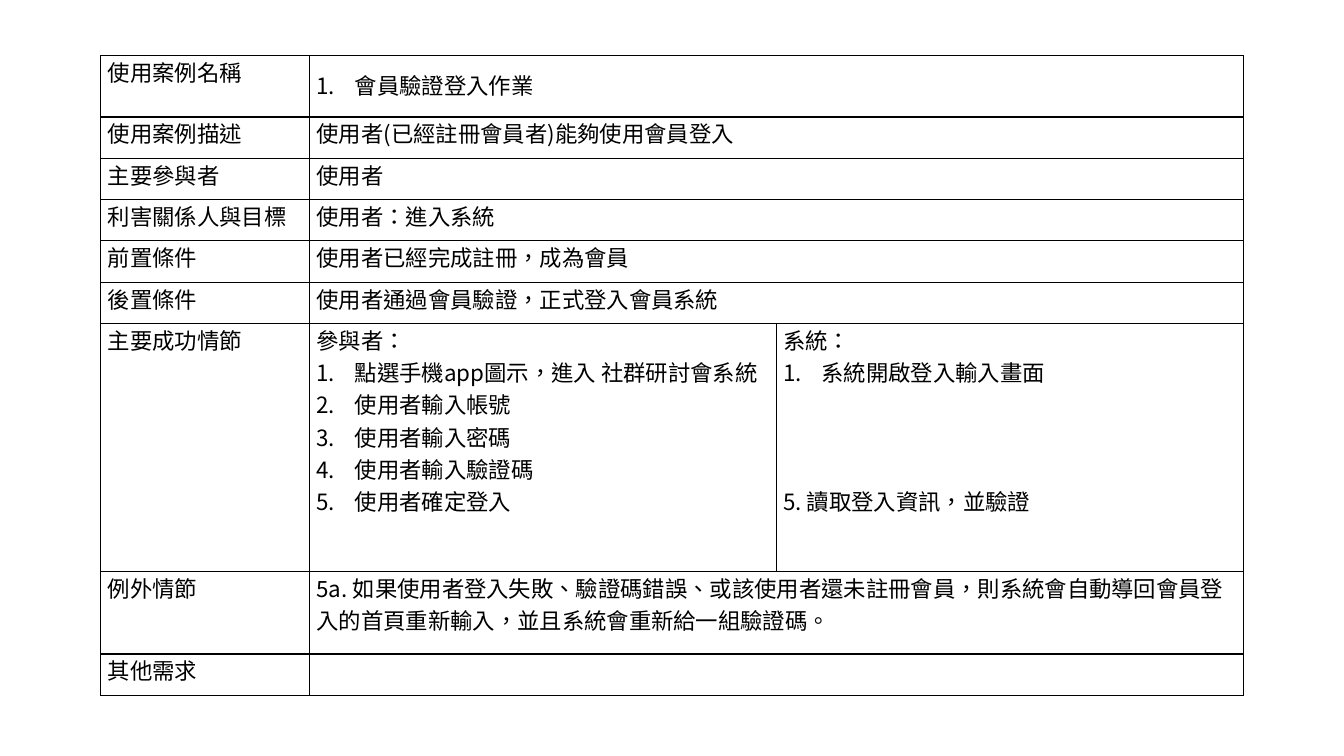
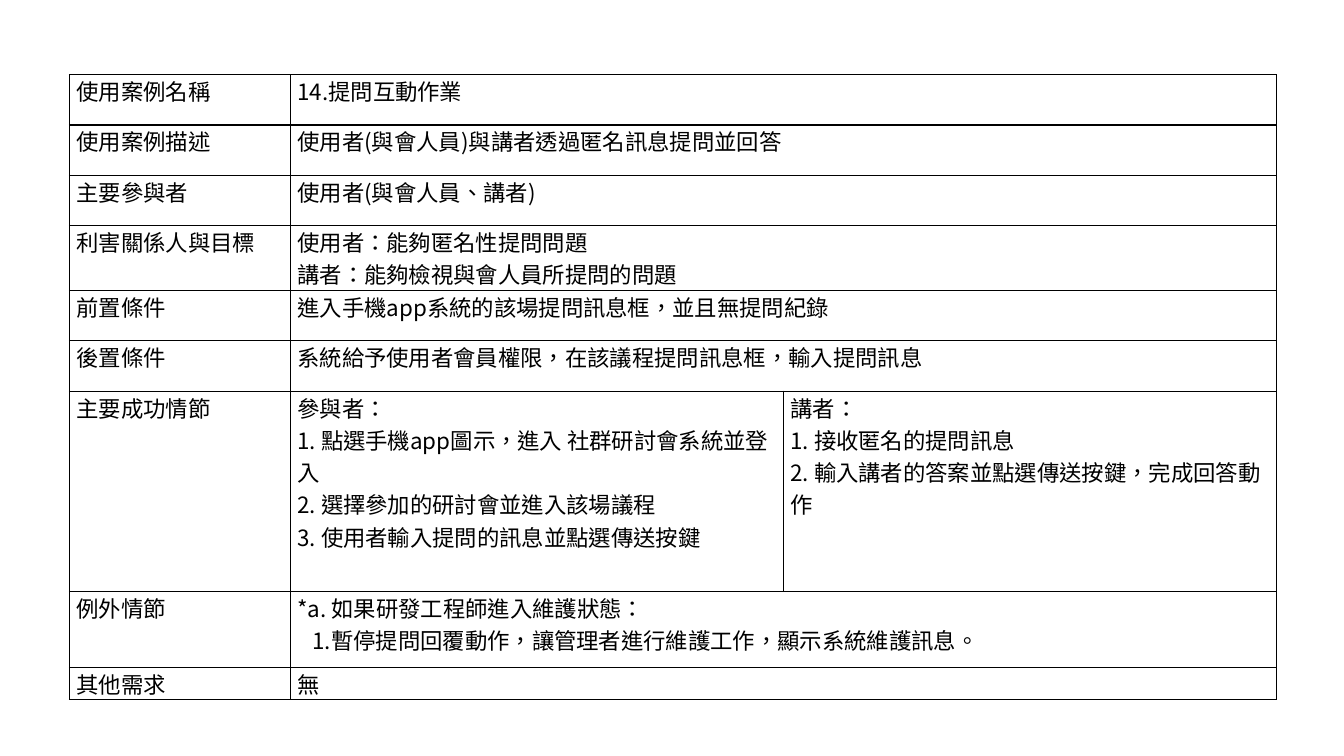
"""Build two use-case description slides, each holding one bordered table."""
from lxml import etree
from pptx import Presentation
from pptx.dml.color import RGBColor
from pptx.enum.lang import MSO_LANGUAGE_ID
from pptx.oxml.ns import qn
from pptx.util import Inches, Pt

CHINESE = MSO_LANGUAGE_ID.TRADITIONAL_CHINESE
FONT = "Noto Sans CJK SC"
INK = "000000"
BLANK_LAYOUT = 6
NUMBER_INDENT = Inches(0.38)
LABELS = ["使用案例名稱", "使用案例描述", "主要參與者", "利害關係人與目標", "前置條件",
          "後置條件", "主要成功情節", "例外情節", "其他需求"]

NUMBERED = {"numbered": True}

USE_CASES = [
    {
        "left": 1, "top": 0.55,
        "columns": [2.07, 4.63, 4.63],
        "rows": [0.61] + [0.41] * 5 + [2.46, 0.82, 0.41],
        "name_margin": 0.13,
        "answers": [
            [[("會員驗證登入作業", NUMBERED)]],
            [[("使用者(已經註冊會員者)能夠使用會員登入", {})]],
            [[("使用者", {})]],
            [[("使用者：進入系統", {})]],
            [[("使用者已經完成註冊，成為會員", {})]],
            [[("使用者通過會員驗證，正式登入會員系統", {})]],
            [[("參與者：", {}),
              ("點選手機app圖示，進入 社群研討會系統", NUMBERED),
              ("使用者輸入帳號", NUMBERED),
              ("使用者輸入密碼", NUMBERED),
              ("使用者輸入驗證碼", NUMBERED),
              ("使用者確定登入", NUMBERED)],
             [("系統：", {}),
              ("系統開啟登入輸入畫面", NUMBERED),
              ("5. 讀取登入資訊，並驗證", {"before": 0.96})]],
            [[("5a. 如果使用者登入失敗、驗證碼錯誤、或該使用者還未註冊會員，則系統會自動導回"
               "會員登入的首頁重新輸入，並且系統會重新給一組驗證碼。", {})]],
            [[]],
        ],
    },
    {
        "left": 0.69, "top": 0.74,
        "columns": [2.19, 4.89, 4.89],
        "rows": [0.5] * 3 + [0.64] + [0.5] * 2 + [1.99, 0.75, 0.32],
        "name_margin": 0,
        "answers": [
            [[("14.提問互動作業", {})]],
            [[("使用者(與會人員)與講者透過匿名訊息提問並回答", {})]],
            [[("使用者(與會人員、講者)", {})]],
            [[("使用者：能夠匿名性提問問題", {}),
              ("講者：能夠檢視與會人員所提問的問題", {})]],
            [[("進入手機app系統的該場提問訊息框，並且無提問紀錄", {})]],
            [[("系統給予使用者會員權限，在該議程提問訊息框，輸入提問訊息", {})]],
            [[("參與者：", {}),
              ("1. 點選手機app圖示，進入 社群研討會系統並登入", {}),
              ("2. 選擇參加的研討會並進入該場議程", {}),
              ("3. 使用者輸入提問的訊息並點選傳送按鍵", {})],
             [("講者：", {}),
              ("1. 接收匿名的提問訊息", {}),
              ("2. 輸入講者的答案並點選傳送按鍵，完成回答動作", {})]],
            [[("*a. 如果研發工程師進入維護狀態：", {}),
              ("1.暫停提問回覆動作，讓管理者進行維護工作，顯示系統維護訊息。", {"indent": 0.15})]],
            [[("無", {})]],
        ],
    },
]


def format_cell(cell):
    """Give a cell its margins, thin border and empty fill."""
    cell.margin_left = cell.margin_right = Inches(0.07)
    cell.margin_top = cell.margin_bottom = 0
    properties = cell._tc.get_or_add_tcPr()
    for side in ("a:lnL", "a:lnR", "a:lnT", "a:lnB"):
        border = etree.SubElement(properties, qn(side), w=str(Pt(1)))
        fill = etree.SubElement(border, qn("a:solidFill"))
        etree.SubElement(fill, qn("a:srgbClr"), val=INK)
    cell.fill.background()


def write_cell(cell, paragraphs):
    """Write the paragraphs of a cell with their numbering and spacing."""
    frame = cell.text_frame
    for index, (text, layout) in enumerate(paragraphs):
        para = frame.paragraphs[0] if index == 0 else frame.add_paragraph()
        para.text = text
        properties = para._p.get_or_add_pPr()
        if "before" in layout:
            para.space_before = Inches(layout["before"])
        if "indent" in layout:
            properties.set("marL", str(Inches(layout["indent"])))
        if "numbered" in layout:
            properties.set("marL", str(NUMBER_INDENT))
            properties.set("indent", str(-NUMBER_INDENT))
            etree.SubElement(properties, qn("a:buFont"), typeface=FONT)
            etree.SubElement(properties, qn("a:buAutoNum"), type="arabicPeriod")
        for span in para.runs:
            span.font.size = Pt(16)
            span.font.name = FONT
            span.font.language_id = CHINESE
            span.font.color.rgb = RGBColor.from_string(INK)
            etree.SubElement(span.font._element, qn("a:ea"), typeface=FONT)


deck = Presentation()
deck.slide_width = Inches(13.33)
deck.slide_height = Inches(7.5)

for case in USE_CASES:
    page = deck.slides.add_slide(deck.slide_layouts[BLANK_LAYOUT])
    table = page.shapes.add_table(
        len(LABELS), len(case["columns"]), Inches(case["left"]), Inches(case["top"]),
        Inches(sum(case["columns"])), Inches(sum(case["rows"]))).table
    table.first_row = False
    table.horz_banding = False
    for column, width in zip(table.columns, case["columns"]):
        column.width = Inches(width)
    for row, height in zip(table.rows, case["rows"]):
        row.height = Inches(height)
    for cell in table.iter_cells():
        format_cell(cell)
    for number, (label, answers) in enumerate(zip(LABELS, case["answers"])):
        write_cell(table.cell(number, 0), [(label, {})])
        if len(answers) == 1:
            table.cell(number, 1).merge(table.cell(number, 2))
        for column, paragraphs in enumerate(answers, start=1):
            write_cell(table.cell(number, column), paragraphs)
    table.cell(0, 1).margin_top = Inches(case["name_margin"])

deck.save("out.pptx")
